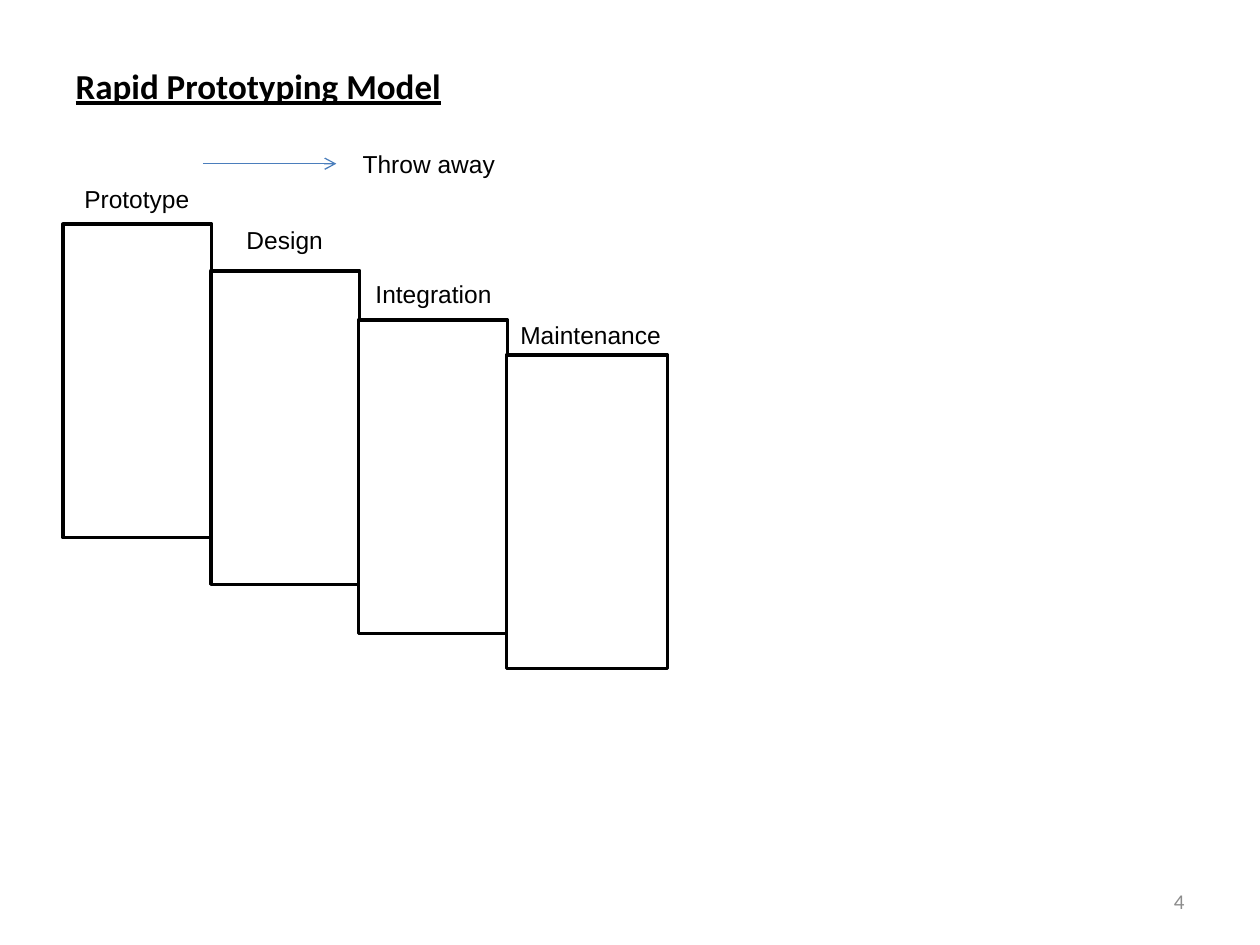
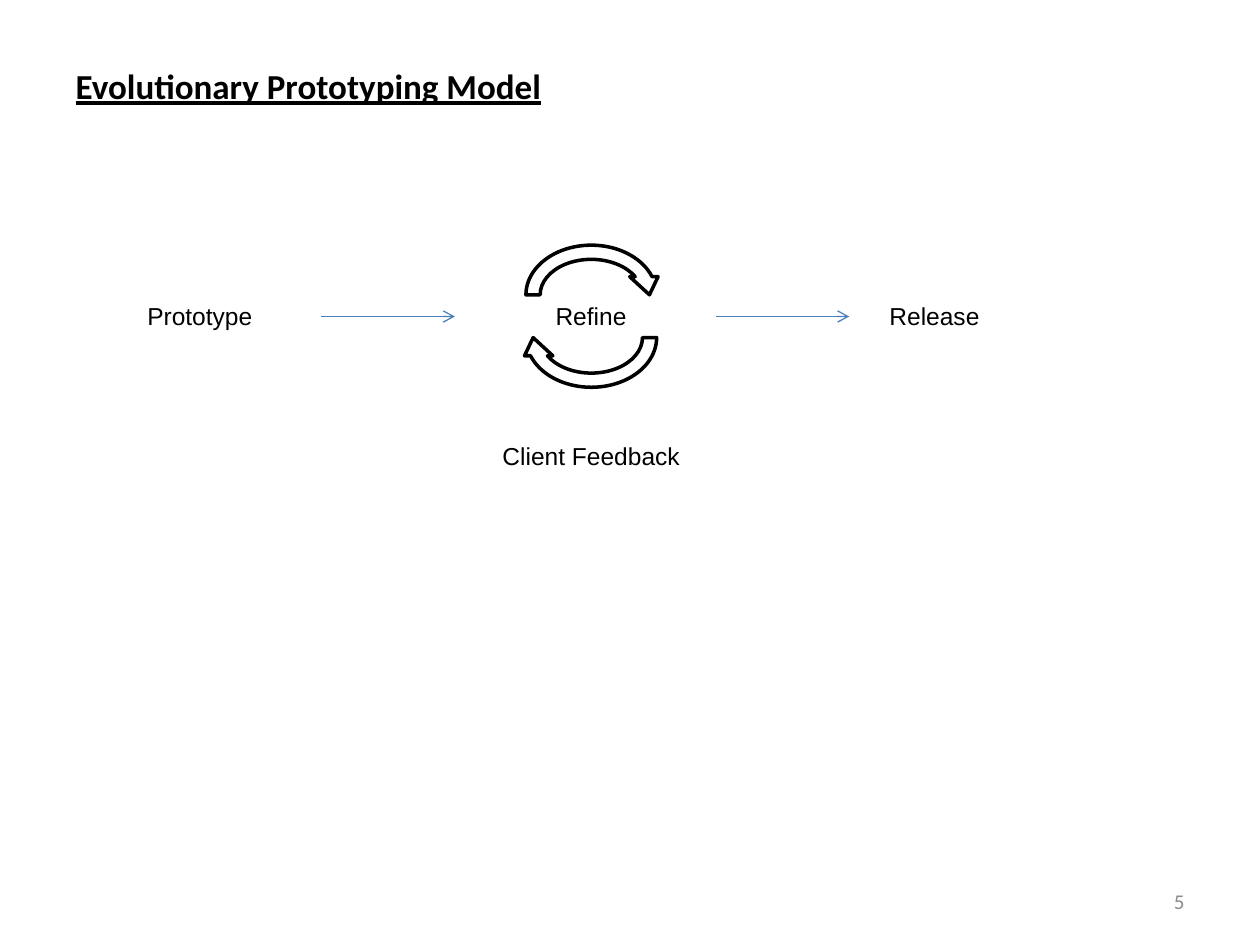
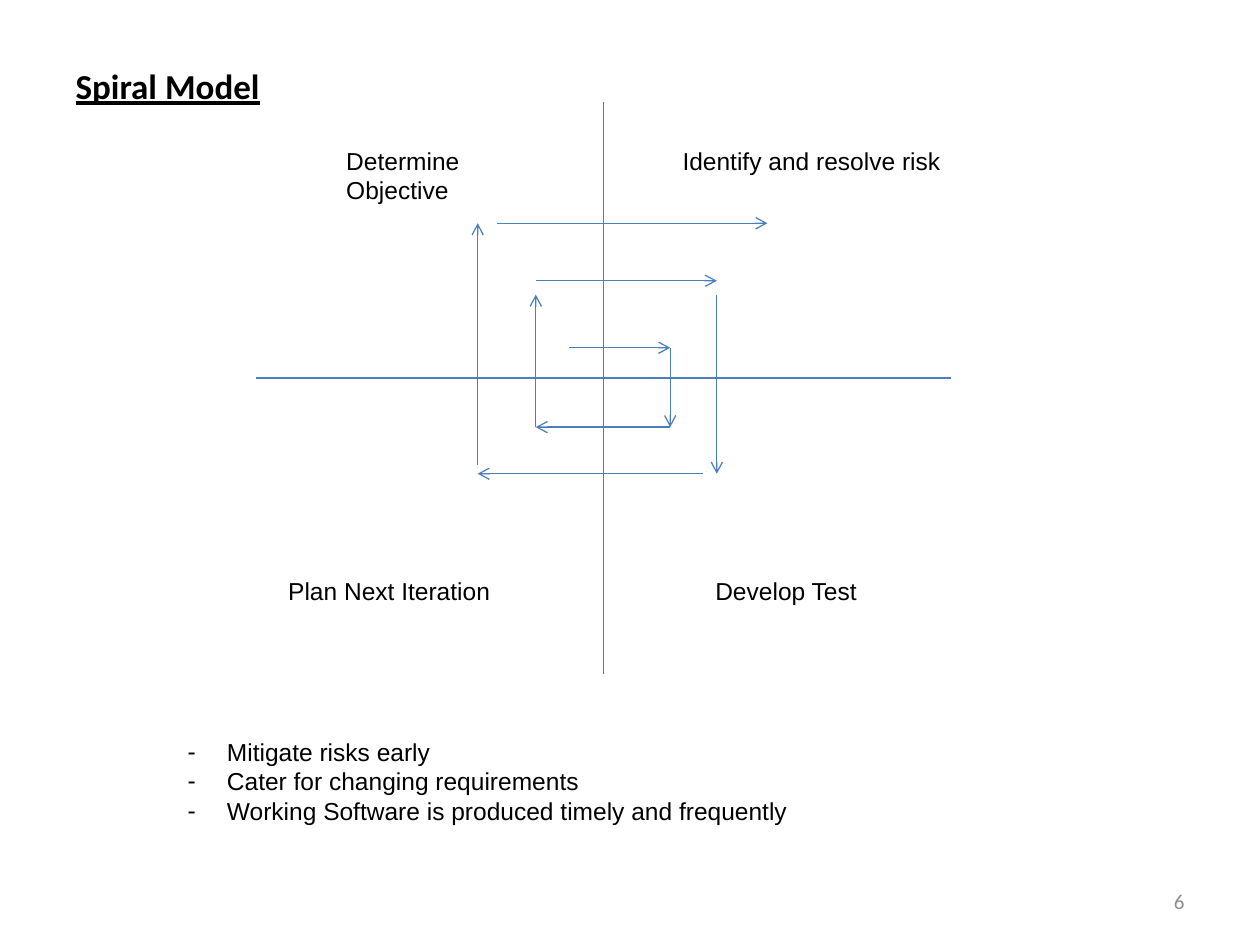
from lxml.etree import SubElement
from pptx import Presentation
from pptx.dml.color import RGBColor
from pptx.enum.shapes import MSO_CONNECTOR, MSO_SHAPE
from pptx.enum.text import MSO_ANCHOR, MSO_AUTO_SIZE, PP_ALIGN
from pptx.oxml.ns import qn
from pptx.util import Cm, Pt

COLORS = {"text": "000000", "outline": "000000", "fill": "FFFFFF",
          "line": "4B7EBC", "number": "8C8C8C"}
TITLE_ONLY, TITLE_AND_BODY = 5, 1
LINE_HEIGHT = 0.6
INSETS = 0.25


def color(name):
    return RGBColor.from_string(COLORS[name])


def write_text(text_frame, text, font="Arial", size=14, ink="text", bold=False,
               underline=False, align=PP_ALIGN.LEFT, anchor=MSO_ANCHOR.TOP,
               wrap=False, bullet=None):
    """Fill a text frame, one paragraph per line of text."""
    text_frame.text = text
    text_frame.auto_size = MSO_AUTO_SIZE.NONE
    text_frame.word_wrap = wrap
    text_frame.vertical_anchor = anchor
    for paragraph in text_frame.paragraphs:
        if bullet:
            add_bullet(paragraph, bullet)
        paragraph.alignment = align
        paragraph.space_before = Pt(0)
        for run in paragraph.runs:
            run.font.name = font
            run.font.size = Pt(size)
            run.font.bold = bold
            run.font.underline = underline
            run.font.color.rgb = color(ink)


def add_bullet(paragraph, character):
    properties = paragraph._p.get_or_add_pPr()
    properties.set("marL", str(Cm(0.79)))
    properties.set("indent", str(Cm(-0.79)))
    bullet_color = SubElement(properties, qn("a:buClr"))
    SubElement(bullet_color, qn("a:srgbClr"), val=COLORS["text"])
    SubElement(properties, qn("a:buFont"), typeface="Arial")
    SubElement(properties, qn("a:buChar"), char=character)


def place(shape, left, top, width, height):
    shape.left, shape.top = Cm(left), Cm(top)
    shape.width, shape.height = Cm(width), Cm(height)


def add_slide(presentation, title, number, layout=TITLE_ONLY):
    """Add a slide with the shared title style and page number."""
    slide = presentation.slides.add_slide(presentation.slide_layouts[layout])
    place(slide.shapes.title, 1.27, 0.76, 22.86, 1.93)
    write_text(slide.shapes.title.text_frame, title, font="Calibri", size=20,
               bold=True, underline=True, anchor=MSO_ANCHOR.MIDDLE, wrap=True)
    number_box = slide.shapes.add_textbox(Cm(18.21), Cm(17.65), Cm(5.92), Cm(1.02))
    write_text(number_box.text_frame, str(number), font="Calibri", size=12,
               ink="number", align=PP_ALIGN.RIGHT, anchor=MSO_ANCHOR.MIDDLE, wrap=True)
    return slide


def add_label(slide, text, left, top, width):
    height = INSETS + LINE_HEIGHT * len(text.split("\n"))
    box = slide.shapes.add_textbox(Cm(left), Cm(top), Cm(width), Cm(height))
    write_text(box.text_frame, text)


def add_outlined_shape(slide, kind, left, top, width, height):
    shape = slide.shapes.add_shape(kind, Cm(left), Cm(top), Cm(width), Cm(height))
    shape.shadow.inherit = False
    shape.fill.solid()
    shape.fill.fore_color.rgb = color("fill")
    shape.line.color.rgb = color("outline")
    shape.line.width = Pt(2)
    return shape


def add_line(slide, start_x, start_y, end_x, end_y, arrow=True):
    connector = slide.shapes.add_connector(
        MSO_CONNECTOR.STRAIGHT, Cm(start_x), Cm(start_y), Cm(end_x), Cm(end_y))
    connector.line.color.rgb = color("line")
    connector.line.width = Pt(0.75)
    if arrow:
        SubElement(connector.line._get_or_add_ln(), qn("a:tailEnd"), type="arrow")
    SubElement(connector._element.spPr, qn("a:effectLst"))


def build_rapid_prototyping(presentation):
    slide = add_slide(presentation, "Rapid Prototyping Model", 4)

    # Descending phases: name, box top, box width, label left, top and width
    phases = [
        ("Prototype", 4.52, 3, 1.45, 3.58, 2.64),
        ("Design", 5.46, 3, 4.72, 4.42, 2.06),
        ("Integration", 6.45, 3, 7.32, 5.51, 2.87),
        ("Maintenance", 7.16, 3.25, 10.24, 6.32, 3.35),
    ]
    for index, (_, top, width, *_) in enumerate(phases):
        add_outlined_shape(slide, MSO_SHAPE.RECTANGLE,
                           1.27 + 2.98 * index, top, width, 6.32)
    for name, _, _, *label_position in phases:
        add_label(slide, name, *label_position)

    # The prototype is discarded
    add_line(slide, 4.09, 3.3, 6.78, 3.3)
    add_label(slide, "Throw away", 7.06, 2.87, 3.2)


def build_evolutionary_prototyping(presentation):
    slide = add_slide(presentation, "Evolutionary Prototyping Model", 5)

    # Steps from left to right
    for name, left, width in [("Prototype", 2.72, 2.64), ("Refine", 10.95, 1.96),
                              ("Release", 17.68, 2.34)]:
        add_label(slide, name, left, 5.94, width)
    for start_x in (6.48, 14.43):
        add_line(slide, start_x, 6.38, start_x + 2.69, 6.38)

    # Feedback loop
    for top, rotation in [(4.8, 0), (5.66, 180)]:
        loop = add_outlined_shape(slide, MSO_SHAPE.CIRCULAR_ARROW,
                                  10.46, top, 2.92, 2.29)
        loop.rotation = rotation
    add_label(slide, "Client Feedback", 9.88, 8.76, 4.11)


def build_spiral(presentation):
    slide = add_slide(presentation, "Spiral Model", 6, TITLE_AND_BODY)

    # Axes
    add_line(slide, 12.17, 2.06, 12.17, 13.59, arrow=False)
    add_line(slide, 5.16, 7.62, 19.18, 7.62, arrow=False)

    # Spiral arrows, from the inside out
    spiral = [
        (11.48, 7.01, 13.51, 7.01), (13.51, 7.01, 13.51, 8.61),
        (13.51, 8.61, 10.8, 8.61), (10.8, 8.61, 10.8, 5.94),
        (10.8, 5.66, 14.45, 5.66), (14.45, 5.94, 14.45, 9.55),
        (14.17, 9.55, 9.63, 9.55), (9.63, 9.37, 9.63, 4.5),
        (10.01, 4.5, 15.47, 4.5),
    ]
    for ends in spiral:
        add_line(slide, *ends)

    # Quadrant labels
    add_label(slide, "Determine\nObjective", 6.73, 2.82, 2.79)
    add_label(slide, "Identify and resolve risk", 13.51, 2.82, 5.74)
    add_label(slide, "Develop Test", 14.17, 11.48, 3.45)
    add_label(slide, "Plan Next Iteration", 5.56, 11.48, 4.6)

    # Benefits
    benefits = slide.placeholders[1]
    place(benefits, 3.53, 14.73, 12.67, 2.06)
    write_text(benefits.text_frame,
               "Mitigate risks early\n"
               "Cater for changing requirements\n"
               "Working Software is produced timely and frequently", bullet="-")


def main():
    presentation = Presentation()
    presentation.slide_width, presentation.slide_height = Cm(25.4), Cm(19.05)
    build_rapid_prototyping(presentation)
    build_evolutionary_prototyping(presentation)
    build_spiral(presentation)
    presentation.save("out.pptx")


if __name__ == "__main__":
    main()
